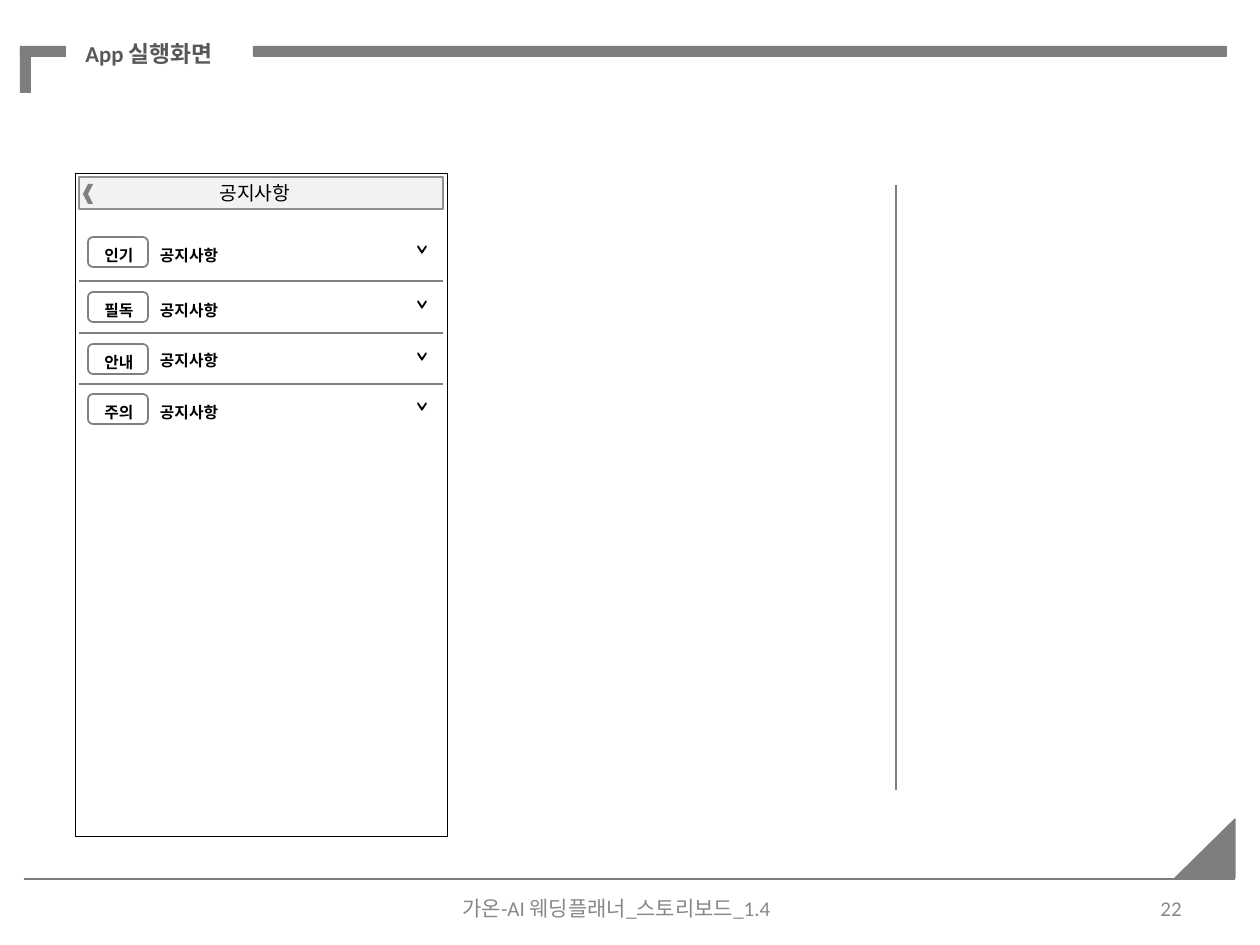
"""Builds the notice-list screen page of an app storyboard."""
from dataclasses import dataclass

from lxml import etree
from pptx import Presentation
from pptx.dml.color import RGBColor
from pptx.enum.shapes import MSO_CONNECTOR, MSO_SHAPE
from pptx.enum.text import MSO_ANCHOR, MSO_AUTO_SIZE, PP_ALIGN
from pptx.oxml.ns import qn
from pptx.util import Pt

RECT, CHEVRON = MSO_SHAPE.RECTANGLE, MSO_SHAPE.CHEVRON
ROUNDED = MSO_SHAPE.FLOWCHART_ALTERNATE_PROCESS
STRAIGHT = MSO_CONNECTOR.STRAIGHT
TOP, MIDDLE = MSO_ANCHOR.TOP, MSO_ANCHOR.MIDDLE
LEFT, CENTER = PP_ALIGN.LEFT, PP_ALIGN.CENTER
GROW, FIXED = MSO_AUTO_SIZE.SHAPE_TO_FIT_TEXT, MSO_AUTO_SIZE.NONE
EMU_PER_PX = 914400 / 126


@dataclass(frozen=True)
class Theme:
    """Colours, font and type sizes of the storyboard."""
    frame: str = "7E7E7E"
    widget: str = "808080"
    bar_line: str = "8F8F8F"
    bar_fill: str = "F2F2F2"
    ink: str = "000000"
    heading: str = "585858"
    muted: str = "888888"
    font: str = "Calibri"
    title_size: int = 13
    footer_size: int = 12
    tab_size: int = 18
    bar_size: int = 11
    label_size: int = 9
    label_leading: float = 16.7


def px(length):
    """Turn px into EMU."""
    return round(length * EMU_PER_PX)


def apply(target, **values):
    """Set each named format value on the target."""
    for name, value in values.items():
        setattr(target, name, value)


class Storyboard:
    """Holds the theme and the current page and draws its elements."""

    def __init__(self, theme):
        self.theme = theme
        self.deck = Presentation()
        apply(self.deck, slide_width=px(1260), slide_height=px(945))
        self.page = self.deck.slides.add_slide(self.deck.slide_layouts[6])

    def paint(self, shape, fill=None, line=None, weight=0.75):
        """Give a shape its fill and line, without shadow."""
        shape.shadow.inherit = False
        for part, colour in ((shape.fill, fill), (shape.line.fill, line)):
            if colour:
                part.solid()
                part.fore_color.rgb = RGBColor.from_string(colour)
            else:
                part.background()
        if line:
            shape.line.width = Pt(weight)
        return shape

    def box(self, kind, area, **style):
        """Draw a preset shape."""
        shape = self.page.shapes.add_shape(kind, *map(px, area))
        return self.paint(shape, **style)

    def outline(self, points, **style):
        """Draw a closed polygon."""
        builder = self.page.shapes.build_freeform(*points[0], scale=EMU_PER_PX)
        builder.add_line_segments(points[1:], close=True)
        return self.paint(builder.convert_to_shape(), **style)

    def rule(self, start, end, colour, weight):
        """Draw a straight line."""
        ends = map(px, (*start, *end))
        line = self.page.shapes.add_connector(STRAIGHT, *ends)
        line.line.color.rgb = RGBColor.from_string(colour)
        line.line.width = Pt(weight)
        etree.SubElement(line._element.spPr, qn("a:effectLst"))

    def text(self, area, spans, anchor=TOP, size_mode=GROW):
        """Draw a one-line text from (words, size, colour, bold) spans."""
        box = self.page.shapes.add_textbox(*map(px, area))
        apply(box.text_frame, word_wrap=False, auto_size=size_mode,
              vertical_anchor=anchor)
        para = box.text_frame.paragraphs[0]
        for words, size, colour, bold in spans:
            span = para.add_run()
            span.text = words
            apply(span.font, name=self.theme.font, size=Pt(size), bold=bold)
            span.font.color.rgb = RGBColor.from_string(colour)
        return box

    def label(self, area, words, anchor=TOP, align=LEFT):
        """Draw a bold, indented list label without insets."""
        theme = self.theme
        box = self.text(area, [(words, theme.label_size, theme.ink, True)],
                        anchor, FIXED)
        apply(box.text_frame, margin_left=0, margin_top=0,
              margin_right=0, margin_bottom=0)
        para = box.text_frame.paragraphs[0]
        apply(para, alignment=align, line_spacing=Pt(theme.label_leading))
        props = para._p.get_or_add_pPr()
        props.set("marL", "0")
        props.set("indent", str(px(13)))
        return box

    def badge(self, top, words):
        """Draw a rounded category badge with its word."""
        frame = self.box(ROUNDED, (88, top, 60, 30),
                         line=self.theme.widget, weight=1)
        word = self.label((81, top - 7, 63, 40), words, MIDDLE, CENTER)
        self.page.shapes.add_group_shape([frame, word])

    def notice(self, top, label_top, category):
        """Draw one notice row with badge, label and unfold mark."""
        self.label((147, label_top, 79, 40), "공지사항")
        self.badge(top, category)
        mark = [(426, 10), (426, 9), (422, 15), (418, 9), (418, 10), (422, 16)]
        self.outline([(x, top + y) for x, y in mark], line=self.theme.ink)

    def footer(self, area, words, number):
        """Draw the footer with the page number at a tab stop."""
        theme = self.theme
        small = (theme.footer_size, theme.muted, False)
        box = self.text(area, [(words, *small),
                               ("\t", theme.tab_size, theme.ink, False),
                               (number, *small)])
        props = box.text_frame.paragraphs[0]._p.get_or_add_pPr()
        tabs = etree.SubElement(props, qn("a:tabLst"))
        etree.SubElement(tabs, qn("a:tab"), pos=str(px(698)), algn="l")


def main():
    """Build and save the page."""
    theme = Theme()
    board = Storyboard(theme)

    for area in ((20, 46, 45, 10), (253, 46, 973, 10), (20, 48, 10, 44)):
        board.box(RECT, area, fill=theme.frame, line=theme.frame, weight=0.25)
    board.text((73, 34, 213, 40),
               [("App 실행화면", theme.title_size, theme.heading, True)])
    board.rule((896, 185), (896, 790), theme.frame, 0.72)
    board.rule((24, 879), (1235, 879), theme.frame, 0.96)
    board.outline([(1175, 878), (1235, 819), (1235, 878)],
                  fill=theme.frame, line=theme.frame)

    board.box(RECT, (75, 173, 372, 663), line=theme.ink, weight=0.25)
    rows = ((237, 236, "인기"), (292, 291, "필독"),
            (344, 341, "안내"), (394, 393, "주의"))
    for row in rows:
        board.notice(*row)
    board.box(RECT, (79, 177, 364, 32), fill=theme.bar_fill,
              line=theme.bar_line, weight=1)
    board.box(CHEVRON, (83, 184, 10, 20), fill=theme.widget).rotation = 180
    board.text((207, 175, 103, 37),
               [("공지사항", theme.bar_size, theme.ink, False)])
    for y in (281, 333, 384):
        board.rule((79, y), (443, y), theme.widget, 0.75)

    board.footer((450, 879, 752, 50), "가온-AI 웨딩플래너_스토리보드_1.4", "22")
    board.deck.save("out.pptx")


if __name__ == "__main__":
    main()
